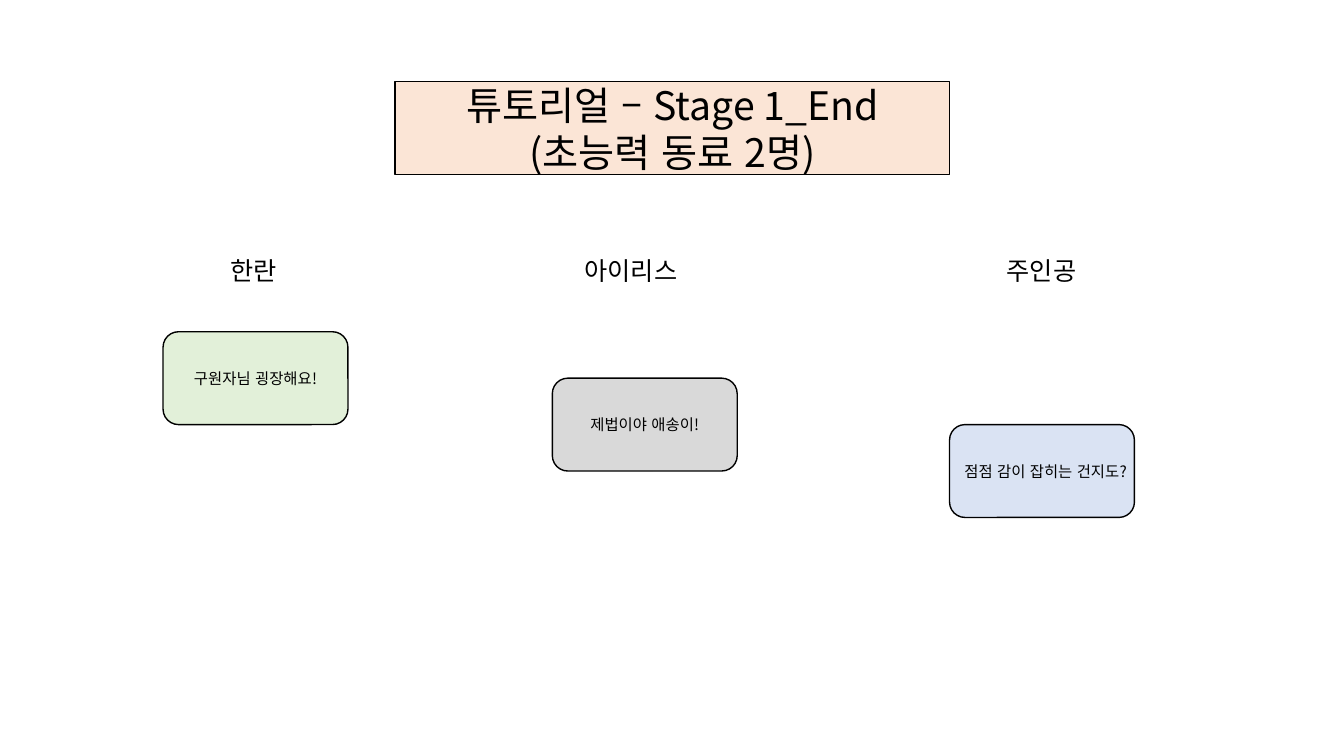
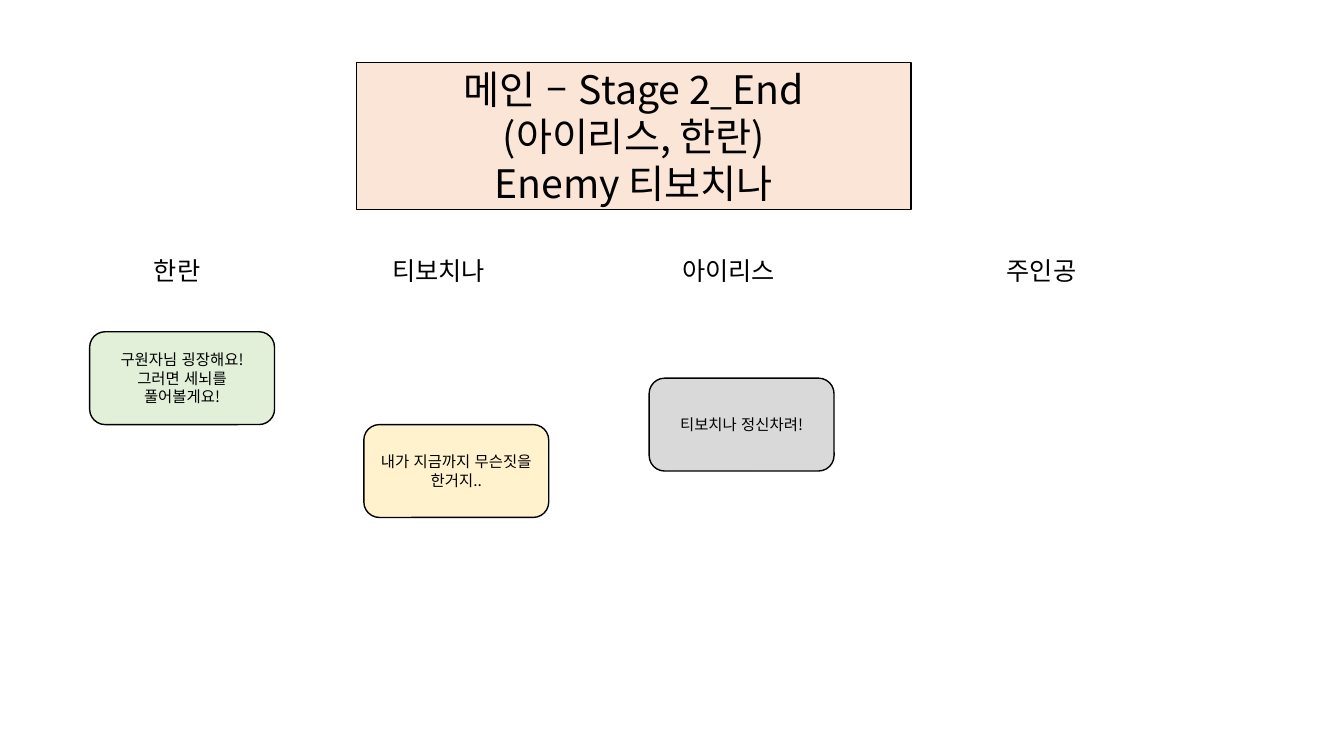
from dataclasses import dataclass
from typing import Optional

import lxml.etree
import pptx
import pptx.dml.color
import pptx.enum.lang
import pptx.enum.shapes
import pptx.enum.text
import pptx.oxml.ns
import pptx.util

Cm = pptx.util.Cm
Pt = pptx.util.Pt
MSO_SHAPE = pptx.enum.shapes.MSO_SHAPE
ALIGN = pptx.enum.text.PP_ALIGN
ANCHOR = pptx.enum.text.MSO_ANCHOR

# Shared look
FONT = "Noto Sans CJK KR"
BLACK, PEACH = "000000", "FBE5D6"
GREEN, GREY, BLUE, YELLOW = "E2F0D9", "D9D9D9", "DAE3F3", "FFF2CC"

# Shared layout, in centimetres
TITLE_W = 13.97
NAME_TOP, NAME_W, NAME_H = 6.3, 4.93, 1.02
LINE_TOP, LINE_STEP = 8.36, 1.17
LINE_W, LINE_H = 4.66, 2.34


@dataclass
class Title:
    left: float
    top: float
    height: float
    text: str


@dataclass
class Line:
    """A spoken line; turn is its place in the conversation."""
    left: float
    turn: int
    fill: str
    text: str


@dataclass
class Speaker:
    name: str
    left: float
    line: Optional[Line] = None


@dataclass
class Scene:
    title: Title
    speakers: list[Speaker]


SCENES = [
    Scene(
        Title(9.96, 2.06, 2.34, "튜토리얼 – Stage 1_End\n(초능력 동료 2명)"),
        [
            Speaker("한란", 5.56, Line(4.11, 0, GREEN, "구원자님 굉장해요!")),
            Speaker("아이리스", 14.48, Line(13.92, 1, GREY, "제법이야 애송이!")),
            Speaker("주인공", 25.12, Line(23.93, 2, BLUE, "점점 감이 잡히는 건지도?")),
        ],
    ),
    Scene(
        Title(8.99, 1.57, 3.71, "메인 – Stage 2_End\n(아이리스, 한란)\nEnemy 티보치나"),
        [
            Speaker("한란", 3.63, Line(2.26, 0, GREEN, "구원자님 굉장해요! 그러면 세뇌를 풀어볼게요!")),
            Speaker("티보치나", 9.63, Line(9.17, 2, YELLOW, "내가 지금까지 무슨짓을 한거지..")),
            Speaker("아이리스", 16.94, Line(16.36, 1, GREY, "티보치나 정신차려!")),
            Speaker("주인공", 25.12),
        ],
    ),
]


def rgb(value: str) -> pptx.dml.color.RGBColor:
    return pptx.dml.color.RGBColor.from_string(value)


def write(tf, text: str, *, size: float, align=ALIGN.LEFT, anchor=ANCHOR.TOP, color: str = BLACK) -> None:
    """Fill a text frame, one paragraph for each line of text."""
    tf.word_wrap = True
    tf.vertical_anchor = anchor
    for i, row in enumerate(text.split("\n")):
        p = tf.add_paragraph() if i else tf.paragraphs[0]
        p.alignment = align
        r = p.add_run()
        r.text = row
        r.font.size = Pt(size)
        r.font.name = FONT
        r.font.color.rgb = rgb(color)
        r.font.language_id = pptx.enum.lang.MSO_LANGUAGE_ID.KOREAN
        # Hangul takes the East Asian typeface
        ea = lxml.etree.SubElement(r.font._element, pptx.oxml.ns.qn("a:ea"))
        ea.set("typeface", FONT)


def add_box(s, kind, left: float, top: float, width: float, height: float,
            fill: str, text: str, size: float) -> None:
    sp = s.shapes.add_shape(kind, Cm(left), Cm(top), Cm(width), Cm(height))
    sp.shadow.inherit = False
    sp.fill.solid()
    sp.fill.fore_color.rgb = rgb(fill)
    sp.line.color.rgb = rgb(BLACK)
    sp.line.width = Pt(1)
    write(sp.text_frame, text, size=size, align=ALIGN.CENTER, anchor=ANCHOR.MIDDLE)


def add_title(s, title: Title) -> None:
    add_box(s, MSO_SHAPE.RECTANGLE, title.left, title.top, TITLE_W, title.height,
            PEACH, title.text, 28)


def add_speaker(s, speaker: Speaker) -> None:
    sp = s.shapes.add_textbox(Cm(speaker.left), Cm(NAME_TOP), Cm(NAME_W), Cm(NAME_H))
    write(sp.text_frame, speaker.name, size=18)
    line = speaker.line
    if line:
        add_box(s, MSO_SHAPE.ROUNDED_RECTANGLE, line.left, LINE_TOP + line.turn * LINE_STEP,
                LINE_W, LINE_H, line.fill, line.text, 11)


def main() -> None:
    prs = pptx.Presentation()
    prs.slide_width, prs.slide_height = Cm(33.87), Cm(19.05)
    for scene in SCENES:
        s = prs.slides.add_slide(prs.slide_layouts[6])
        add_title(s, scene.title)
        for speaker in scene.speakers:
            add_speaker(s, speaker)
    prs.save("out.pptx")


if __name__ == "__main__":
    main()
